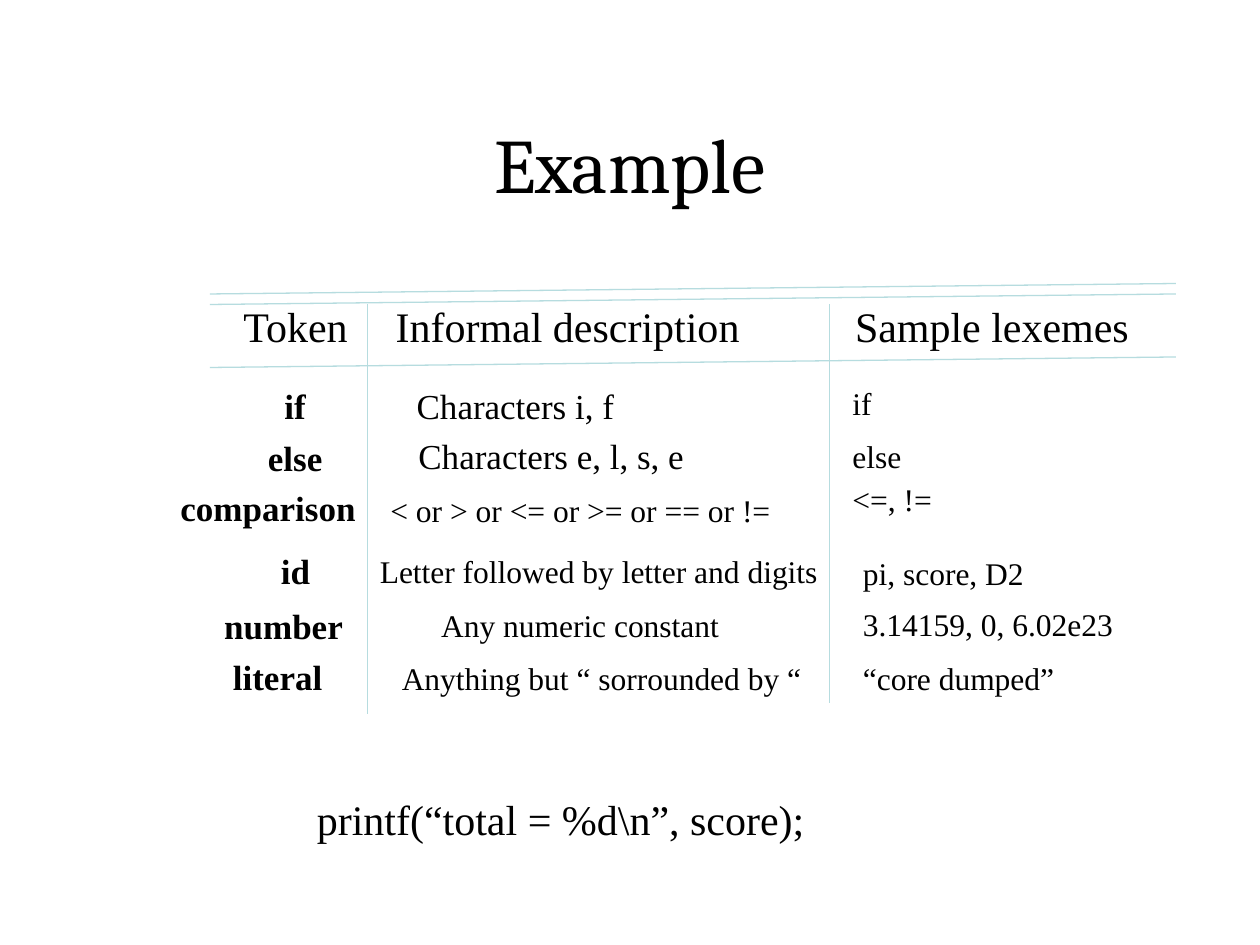
from lxml.etree import SubElement
from pptx import Presentation
from pptx.dml.color import RGBColor
from pptx.enum.shapes import MSO_CONNECTOR
from pptx.enum.text import MSO_ANCHOR, PP_ALIGN
from pptx.oxml.ns import qn
from pptx.util import Pt

BLACK = RGBColor(0x00, 0x00, 0x00)
RULE = RGBColor(0xB6, 0xDC, 0xDF)
BODY_FONT = "Times New Roman"
BOX_HEIGHTS = {24: 36.7, 20: 31.7, 18: 28.8}


def add_text(text, left, top, width, height, size, font=BODY_FONT, bold=False):
    box = slide.shapes.add_textbox(Pt(left), Pt(top), Pt(width), Pt(height))
    frame = box.text_frame
    frame.word_wrap = False
    paragraph = frame.paragraphs[0]
    paragraph.text = text
    paragraph.font.name = font
    paragraph.font.size = Pt(size)
    paragraph.font.bold = bold
    paragraph.font.color.rgb = BLACK
    return frame


presentation = Presentation()
presentation.slide_width = Pt(720)
presentation.slide_height = Pt(540)
slide = presentation.slides.add_slide(presentation.slide_layouts[6])

# Title
title = add_text("Example", 54, 48, 612, 90, 44, font="Cambria")
title.word_wrap = True
title.vertical_anchor = MSO_ANCHOR.MIDDLE
title.paragraphs[0].alignment = PP_ALIGN.CENTER

# Slanted header rules, then upright column rules
rules = [(120, y, 672, y - 6) for y in (168, 174, 210)]
rules += [(210, 174, 210, 408), (474, 174, 474, 402)]
for ends in rules:
    connector = slide.shapes.add_connector(
        MSO_CONNECTOR.STRAIGHT, *[Pt(value) for value in ends])
    connector.line.color.rgb = RULE
    connector.line.width = Pt(0.75)
    SubElement(connector._element.spPr, qn("a:effectLst"))

# Column headings
for text, left, width in [
    ("Token", 132, 75),
    ("Informal description", 219, 213),
    ("Sample lexemes", 481.5, 173),
]:
    add_text(text, left, 168, width, BOX_HEIGHTS[24], 24)

# Tokens: text, left, top, width
tokens = [
    ("if", 155.5, 216, 26.6),
    ("else", 146, 246, 46),
    ("comparison", 96, 274.5, 115),
    ("id", 153.4, 310.5, 31),
    ("number", 121, 342, 83),
    ("literal", 126, 370.8, 65.5),
]
# Informal descriptions: the first two are larger
descriptions = [
    ("Characters i, f", 231, 216, 128),
    ("Characters e, l, s, e", 232, 245, 167),
    ("< or > or <= or >= or == or !=", 216, 277.2, 234),
    ("Letter followed by letter and digits", 210, 312, 268),
    ("Any numeric constant", 245, 343, 175),
    ("Anything but “ sorrounded by “", 222.5, 373, 245.5),
]
# Sample lexemes
lexemes = [
    ("if", 480, 216, 26),
    ("else", 480, 246, 43),
    ("<=, !=", 480, 271, 60.5),
    ("pi, score, D2", 486, 313, 107),
    ("3.14159, 0, 6.02e23", 486, 342, 159),
    ("“core dumped”", 486, 373, 124.5),
]
for entries, size, bold in [
    (tokens, 20, True),
    (descriptions[:2], 20, False),
    (descriptions[2:], 18, False),
    (lexemes, 18, False),
]:
    for text, left, top, width in entries:
        add_text(text, left, top, width, BOX_HEIGHTS[size], size, bold=bold)

# Code sample
add_text("printf(“total = %d\\n”, score);", 174, 450, 296, BOX_HEIGHTS[24], 24)

presentation.save("out.pptx")
